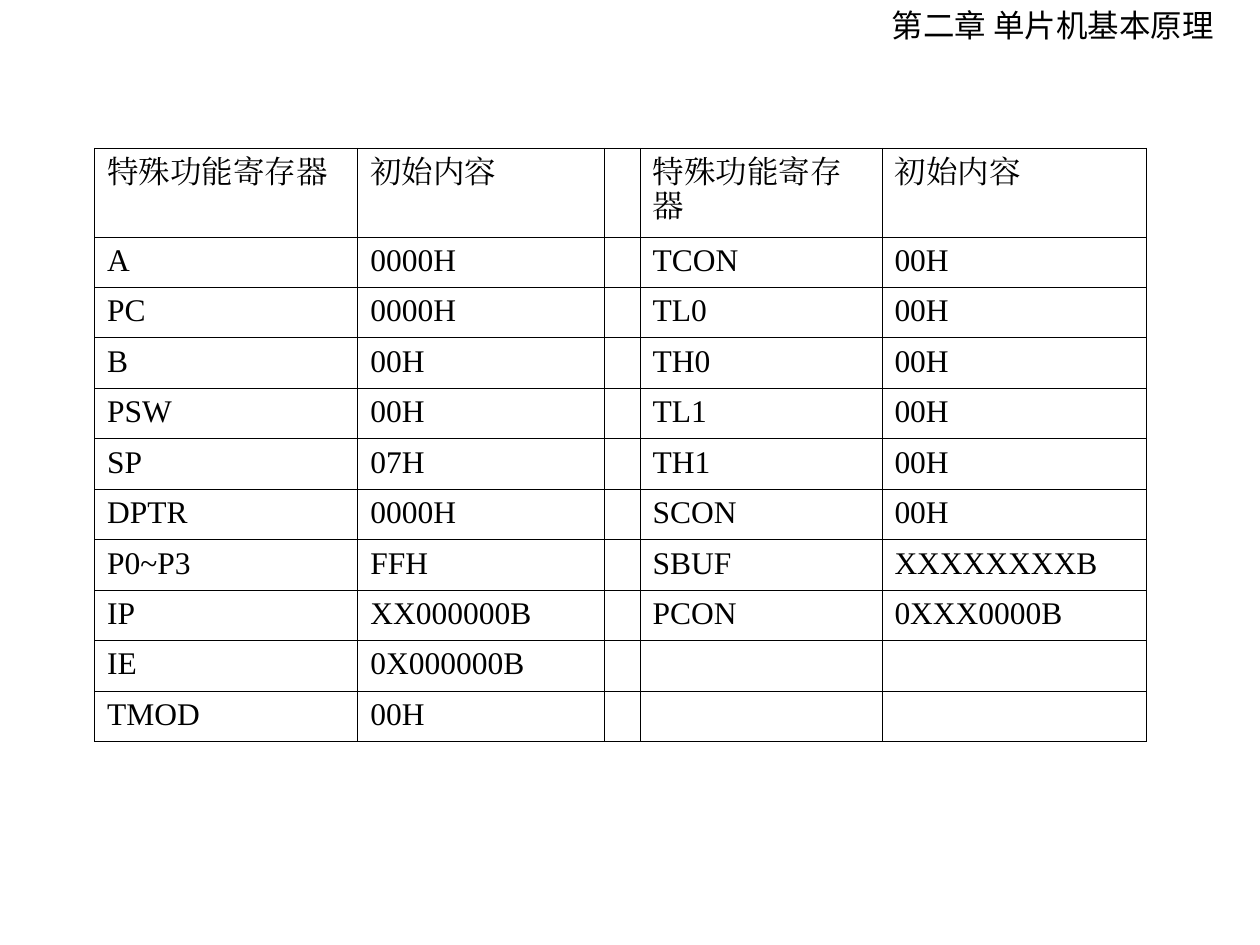
from pptx import Presentation
from pptx.dml.color import RGBColor
from pptx.enum.text import MSO_ANCHOR, MSO_AUTO_SIZE
from pptx.oxml.ns import qn
from pptx.util import Inches, Pt
from lxml.etree import SubElement

COLORS = {"text": "000000", "border": "000000", "background": "FFFFFF"}
BODY_FONT = "Times New Roman"
HEADING_FONT = "Noto Sans CJK JP"
COLUMN_WIDTHS = [2.09, 1.96, 0.28, 1.92, 2.1]
HEADER_HEIGHT, ROW_HEIGHT = 0.7, 0.4
INNER_LINE, SIDE_LINE, OUTER_LINE = 0.45, 0.34, 0.96

REGISTERS = [
    ["特殊功能寄存器", "初始内容", "", "特殊功能寄存器", "初始内容"],
    ["A", "0000H", "", "TCON", "00H"],
    ["PC", "0000H", "", "TL0", "00H"],
    ["B", "00H", "", "TH0", "00H"],
    ["PSW", "00H", "", "TL1", "00H"],
    ["SP", "07H", "", "TH1", "00H"],
    ["DPTR", "0000H", "", "SCON", "00H"],
    ["P0~P3", "FFH", "", "SBUF", "XXXXXXXXB"],
    ["IP", "XX000000B", "", "PCON", "0XXX0000B"],
    ["IE", "0X000000B", "", "", ""],
    ["TMOD", "00H", "", "", ""],
]


def add_text(para, text, font_name):
    span = para.add_run()
    span.text = text
    span.font.size = Pt(18)
    span.font.name = font_name
    span.font.color.rgb = RGBColor.from_string(COLORS["text"])
    SubElement(span.font._element, qn("a:ea"), typeface=font_name)


def add_borders(cell, widths):
    properties = cell._tc.get_or_add_tcPr()
    for tag, width in widths.items():
        line = SubElement(properties, qn(f"a:{tag}"), w=str(Pt(width)))
        fill = SubElement(line, qn("a:solidFill"))
        SubElement(fill, qn("a:srgbClr"), val=COLORS["border"])


deck = Presentation()
deck.slide_width = Inches(10)
deck.slide_height = Inches(7.5)
page = deck.slides.add_slide(deck.slide_layouts[6])
page.background.fill.solid()
page.background.fill.fore_color.rgb = RGBColor.from_string(COLORS["background"])

box = page.shapes.add_textbox(Inches(6.98), Inches(0), Inches(2.81), Inches(0.4))
frame = box.text_frame
frame.word_wrap = False
frame.auto_size = MSO_AUTO_SIZE.SHAPE_TO_FIT_TEXT
frame.vertical_anchor = MSO_ANCHOR.MIDDLE
add_text(frame.paragraphs[0], "第二章 单片机基本原理", HEADING_FONT)

last_row = len(REGISTERS) - 1
last_column = len(COLUMN_WIDTHS) - 1
table_height = HEADER_HEIGHT + last_row * ROW_HEIGHT
table = page.shapes.add_table(
    len(REGISTERS), len(COLUMN_WIDTHS), Inches(0.75), Inches(1.18),
    Inches(sum(COLUMN_WIDTHS)), Inches(table_height),
).table
table.first_row = False
table.horz_banding = False
for column, width in zip(table.columns, COLUMN_WIDTHS):
    column.width = Inches(width)

for row_index, values in enumerate(REGISTERS):
    table.rows[row_index].height = Inches(ROW_HEIGHT if row_index else HEADER_HEIGHT)
    for column_index, value in enumerate(values):
        cell = table.cell(row_index, column_index)
        add_borders(cell, {
            "lnL": SIDE_LINE if column_index == 0 else INNER_LINE,
            "lnR": SIDE_LINE if column_index == last_column else INNER_LINE,
            "lnT": OUTER_LINE if row_index == 0 else INNER_LINE,
            "lnB": OUTER_LINE if row_index == last_row else INNER_LINE,
        })
        cell.fill.background()
        if value:
            add_text(cell.text_frame.paragraphs[0], value, BODY_FONT)
        else:
            cell.margin_top = cell.margin_bottom = 0

deck.save("out.pptx")
